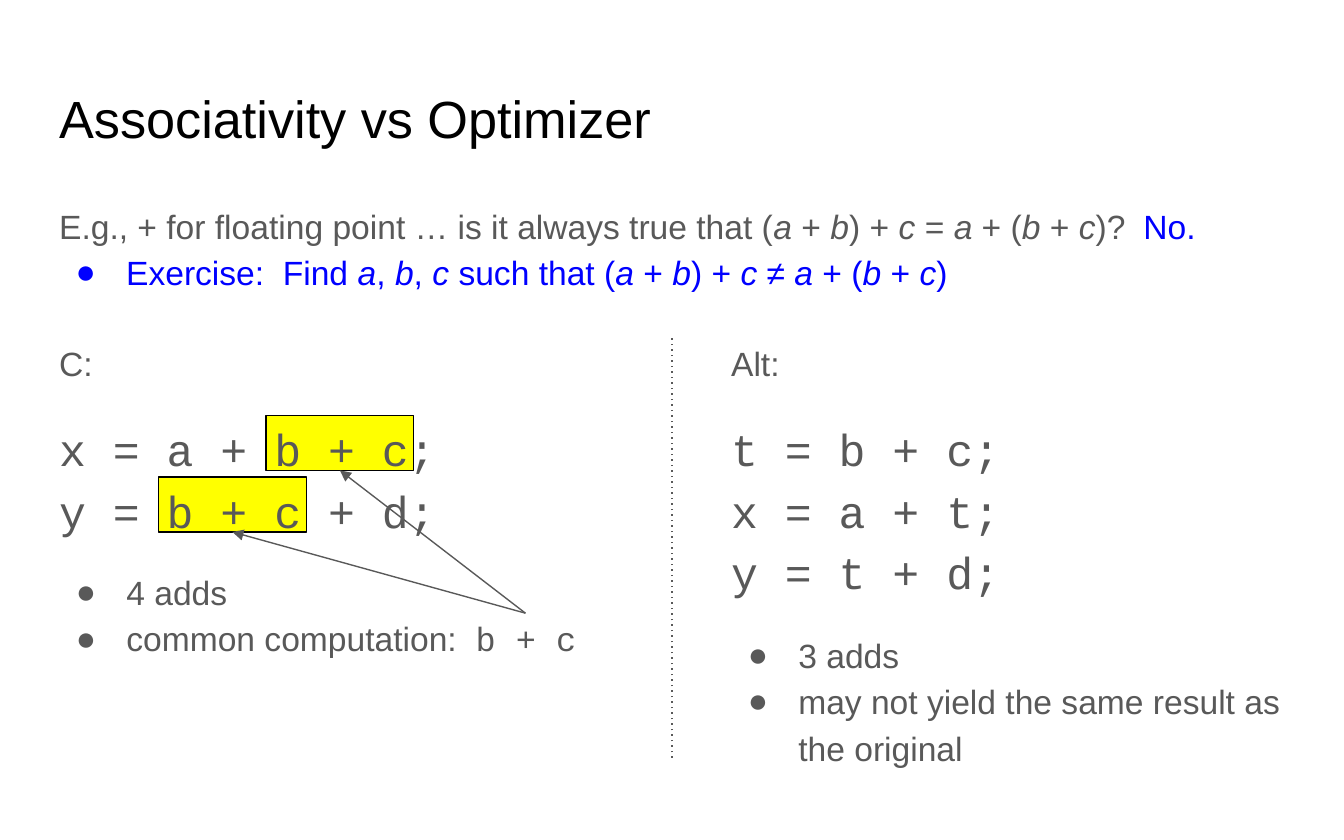
import pptx
import pptx.dml.color
import pptx.enum.shapes
import pptx.enum.text
import pptx.oxml.ns
import pptx.util
from lxml import etree

Pt = pptx.util.Pt
RGBColor = pptx.dml.color.RGBColor
qn = pptx.oxml.ns.qn

BLACK = RGBColor(0x00, 0x00, 0x00)
GRAY = RGBColor(0x59, 0x59, 0x59)
BLUE = RGBColor(0x00, 0x00, 0xFF)
YELLOW = RGBColor(0xFF, 0xFF, 0x00)
WHITE = RGBColor(0xFF, 0xFF, 0xFF)
SANS, MONO = "Arial", "Courier New"

LEFT, WIDTH, INSET = 24.5, 671, 7.2
COLUMN_TOP, COLUMN_HEIGHT = 173.5, 226
CODE_SIZE, CODE_STEP, CODE_ADVANCE = 24, 33, 14.4


def add_child(parent, tag, **attributes):
    """Append a drawing element with the given attributes."""
    child = etree.SubElement(parent, qn(tag))
    for name, value in attributes.items():
        child.set(name, str(value))
    return child


def prepare_frame(shape, box):
    """Move a text shape to its box and return its emptied frame."""
    shape.left, shape.top, shape.width, shape.height = map(Pt, box)
    frame = shape.text_frame
    frame.word_wrap = True
    frame.auto_size = pptx.enum.text.MSO_AUTO_SIZE.NONE
    frame.vertical_anchor = pptx.enum.text.MSO_ANCHOR.TOP
    frame.margin_left = frame.margin_right = Pt(INSET)
    frame.margin_top = frame.margin_bottom = Pt(INSET)
    return frame


def write(frame, text, size=18, font=SANS, color=GRAY, after=0, spacing=1.15, bullet=False):
    """Add a paragraph; *text* is italic and `text` is monospaced."""
    paragraph = frame.paragraphs[0]
    if paragraph.runs:
        paragraph = frame.add_paragraph()
    paragraph.alignment = pptx.enum.text.PP_ALIGN.LEFT
    paragraph.line_spacing = spacing
    paragraph.space_before, paragraph.space_after = Pt(0), Pt(after)
    properties = paragraph._p.get_or_add_pPr()
    properties.set("marL", str(Pt(36 if bullet else 0)))
    properties.set("indent", str(Pt(-27 if bullet else 0)))
    if bullet:
        add_child(add_child(properties, "a:buClr"), "a:srgbClr", val=color)
        add_child(properties, "a:buFont", typeface=SANS)
        add_child(properties, "a:buChar", char="●")
    else:
        add_child(properties, "a:buNone")
    for code_index, part in enumerate(text.split("`")):
        for italic_index, piece in enumerate(part.split("*")):
            if piece:
                run = paragraph.add_run()
                run.text = piece
                run.font.size, run.font.bold = Pt(size), False
                run.font.name = MONO if code_index % 2 else font
                run.font.italic = bool(italic_index % 2)
                run.font.color.rgb = color


def write_code(frame, heading, lines):
    """Write a heading followed by lines of code."""
    write(frame, heading, after=16)
    for line in lines:
        write(frame, line, size=CODE_SIZE, font=MONO, after=16 if line == lines[-1] else 0)


def write_bullets(frame, items):
    """Write a bulleted list."""
    for item in items:
        write(frame, item, bullet=True, after=16 if item == items[-1] else 0)


def add_line(slide, start, end, dash=None, arrow=False):
    """Draw a thin gray line, dashed or with an arrowhead on request."""
    connector = slide.shapes.add_connector(
        pptx.enum.shapes.MSO_CONNECTOR.STRAIGHT, *map(Pt, (*start, *end)))
    connector.line.color.rgb = GRAY
    connector.line.width = Pt(0.75)
    outline = connector.line._get_or_add_ln()
    if dash:
        add_child(outline, "a:prstDash", val=dash)
    if arrow:
        add_child(outline, "a:tailEnd", type="triangle", w="med", len="med")
    add_child(connector._element.spPr, "a:effectLst")


def add_highlight(slide, left, top, row, character):
    """Mark the common expression behind a code line; return its bottom centre."""
    x = left + INSET + character * CODE_ADVANCE - 4.4
    y = top + 49 + row * CODE_STEP
    width, height = 79.2, 29.5
    shape = slide.shapes.add_shape(
        pptx.enum.shapes.MSO_SHAPE.RECTANGLE, *map(Pt, (x, y, width, height)))
    shape.shadow.inherit = False
    shape.fill.solid()
    shape.fill.fore_color.rgb = YELLOW
    shape.line.color.rgb = BLACK
    shape.line.width = Pt(0.75)
    slide.shapes._spTree.insert(2, shape._element)
    return x + width / 2, y + height


def build_question(slide, placeholder, left, top):
    """Place the question, its answer and the exercise."""
    frame = prepare_frame(placeholder, (left, top, WIDTH, 91.5))
    write(frame, "E.g., + for floating point … is it always true that "
                 "(*a* + *b*) + *c* = *a* + (*b* + *c*)?")
    answer = slide.shapes.add_textbox(0, 0, 0, 0)
    write(prepare_frame(answer, (left + 581, top, 128, 36.5)), "No.", color=BLUE, after=16)
    exercise = slide.shapes.add_textbox(0, 0, 0, 0)
    write(prepare_frame(exercise, (left, top + 24.5, WIDTH, 36.5)),
          "Exercise:  Find *a*, *b*, *c* such that (*a* + *b*) + *c* ≠ *a* + (*b* + *c*)",
          color=BLUE, after=16, bullet=True)


def build_original_code(slide, code, notes, left, top):
    """Place the C code with its highlights, arrows and notes."""
    frame = prepare_frame(code, (left, top, WIDTH, COLUMN_HEIGHT))
    write_code(frame, "C:", ["x = a + b + c;", "y = b + c + d;"])
    frame = prepare_frame(notes, (left, top + 122.5, WIDTH, 134))
    write_bullets(frame, ["4 adds", "common computation:  `b + c`"])
    for row, character in enumerate((8, 4)):
        target = add_highlight(slide, left, top, row, character)
        add_line(slide, (left + 257, top + 155), target, arrow=True)


def build_alternative(placeholder, left, top):
    """Place the optimized code and its notes."""
    frame = prepare_frame(placeholder, (left, top, 311, COLUMN_HEIGHT))
    write_code(frame, "Alt:", ["t = b + c;", "x = a + t;", "y = t + d;"])
    write_bullets(frame, ["3 adds", "may not yield the same result as the original"])


def build_slide(presentation):
    """Build the slide on associativity."""
    slide = presentation.slides.add_slide(presentation.slide_layouts.get_by_name("Comparison"))
    slide.background.fill.solid()
    slide.background.fill.fore_color.rgb = WHITE
    title, question, code, notes, alternative = slide.placeholders
    write(prepare_frame(title, (LEFT, 39, WIDTH, 50.5)), "Associativity vs Optimizer",
          size=28, color=BLACK, spacing=1.0)
    build_question(slide, question, LEFT, 100)
    build_original_code(slide, code, notes, LEFT, COLUMN_TOP)
    build_alternative(alternative, LEFT + 360, COLUMN_TOP)
    add_line(slide, (360, 406), (360, 180), dash="dot")


presentation = pptx.Presentation()
presentation.slide_width, presentation.slide_height = Pt(720), Pt(450)
build_slide(presentation)
presentation.save("out.pptx")
